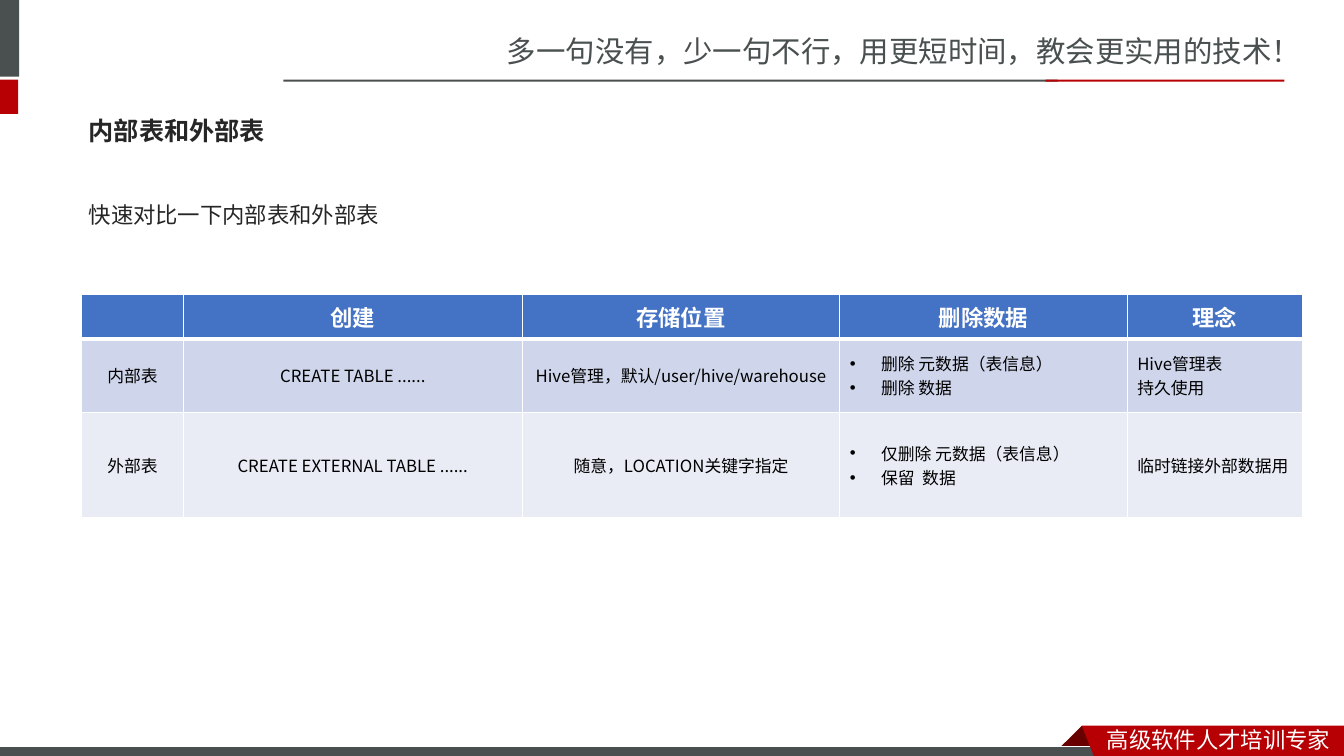
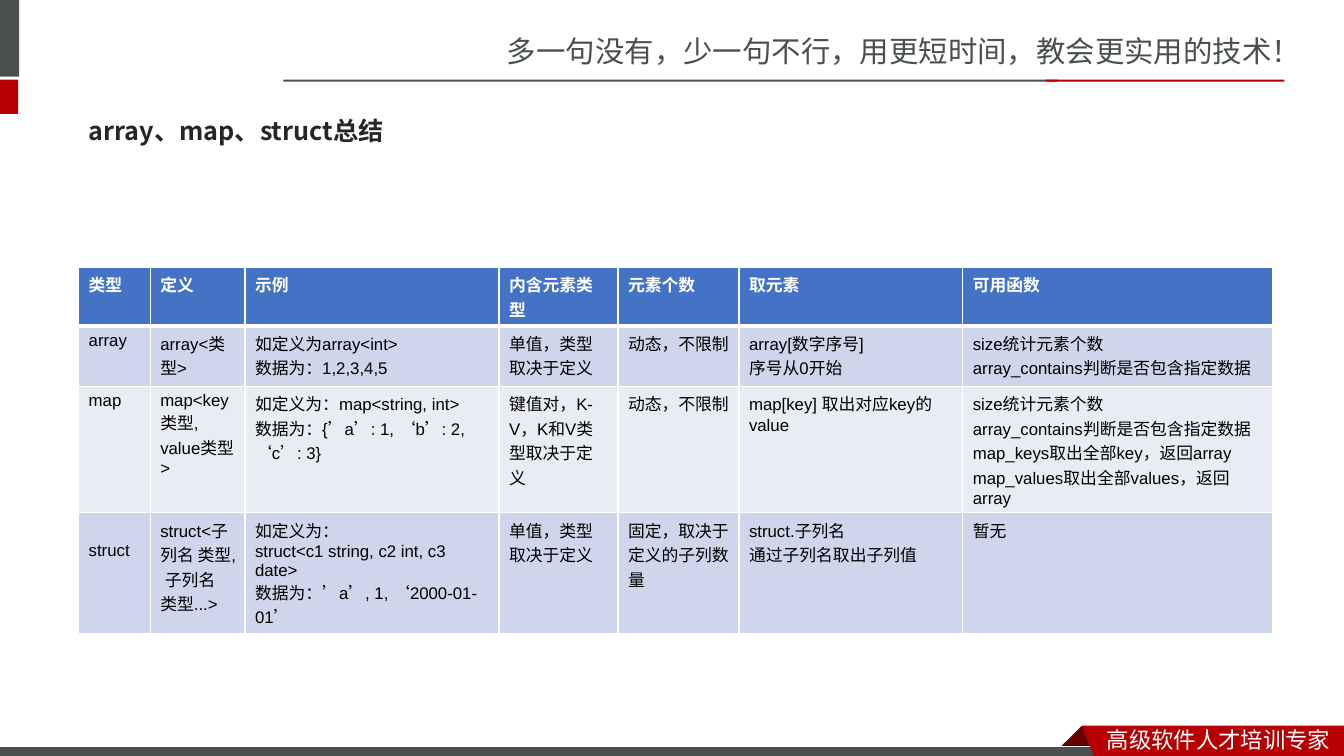
from dataclasses import dataclass, field

from lxml.etree import SubElement
from pptx import Presentation
from pptx.dml.color import RGBColor
from pptx.enum.shapes import MSO_SHAPE
from pptx.enum.text import MSO_ANCHOR, MSO_AUTO_SIZE, PP_ALIGN
from pptx.oxml import parse_xml
from pptx.oxml.ns import nsdecls, qn
from pptx.util import Inches, Pt

GREY = RGBColor(0x49, 0x50, 0x4F)
RED = RGBColor(0xB6, 0x00, 0x04)
DARK_RED = RGBColor(0x68, 0x00, 0x00)
INK = RGBColor(0x26, 0x26, 0x26)
BLACK = RGBColor(0, 0, 0)
WHITE = RGBColor(0xFF, 0xFF, 0xFF)
HEADER_BLUE = RGBColor(0x44, 0x72, 0xC4)
BAND_DARK = RGBColor(0xCF, 0xD5, 0xEA)
BAND_LIGHT = RGBColor(0xE9, 0xEB, 0xF5)

SANS_SC = "Noto Sans CJK SC"
SANS_JP = "Noto Sans CJK JP"
ARIAL = "Arial"


@dataclass(frozen=True)
class Box:
    left: float
    top: float
    width: float
    height: float

    def emu(self) -> tuple:
        return tuple(Inches(v) for v in (self.left, self.top, self.width, self.height))


@dataclass(frozen=True)
class Bar:
    box: Box
    color: RGBColor
    outlined: bool = False


@dataclass(frozen=True)
class Label:
    box: Box
    text: str
    size: int
    color: RGBColor


@dataclass(frozen=True)
class Ribbon:
    points: tuple
    color: RGBColor


@dataclass(frozen=True)
class Grid:
    left: float
    top: float
    widths: tuple
    heights: tuple
    rows: tuple
    face: str
    header_size: int
    anchor: MSO_ANCHOR
    header_align: PP_ALIGN = PP_ALIGN.LEFT
    centred: tuple = ()
    bulleted: tuple = ()
    top_margins: dict = field(default_factory=dict)


FRAME = (
    Label(Box(4.93, 0.28, 8.41, 0.45), "多一句没有，少一句不行，用更短时间，教会更实用的技术！", 21, GREY),
    Bar(Box(-0.06, 0, 0.25, 0.76), GREY),
    Bar(Box(-0.06, 0.79, 0.24, 0.34), RED),
    Bar(Box(2.81, 0.79, 7.68, 0.02), GREY),
    Bar(Box(10.37, 0.79, 2.37, 0.02), RED),
    Ribbon(((10.73, 7.2), (10.95, 7.42), (10.94, 7.43), (10.52, 7.43), (10.51, 7.42)), DARK_RED),
    Bar(Box(-0.01, 7.41, 11, 0.12), GREY, outlined=True),
    Ribbon(((10.73, 7.2), (13.33, 7.2), (13.33, 7.54), (10.86, 7.53)), RED),
    Label(Box(10.88, 7.15, 2.45, 0.37), "高级软件人才培训专家", 16, WHITE),
)

TITLE_BOX = Box(0.78, 1.03, 11.7, 0.57)
BODY_BOX = Box(0.78, 1.81, 11.7, 4.61)

TABLE_KINDS = Grid(
    0.81, 2.92, (1.01, 3.36, 3.15, 2.85, 1.74), (0.44, 0.73, 1.05),
    (
        ("", "创建", "存储位置", "删除数据", "理念"),
        ("内部表", "CREATE TABLE ......", "Hive管理，默认/user/hive/warehouse",
         "删除 元数据（表信息）\n删除 数据", "Hive管理表\n持久使用"),
        ("外部表", "CREATE EXTERNAL TABLE ......", "随意，LOCATION关键字指定",
         "仅删除 元数据（表信息）\n保留  数据", "临时链接外部数据用"),
    ),
    SANS_JP, 16, MSO_ANCHOR.MIDDLE, PP_ALIGN.CENTER, centred=(0, 1, 2), bulleted=(3,),
)

COLLECTION_TYPES = Grid(
    0.78, 2.65, (0.71, 0.94, 2.52, 1.18, 1.2, 2.22, 3.07), (0.5, 0.6, 0.56, 0.83),
    (
        ("类型", "定义", "示例", "内含元素类型", "元素个数", "取元素", "可用函数"),
        ("array", "array<类型>", "如定义为array<int>\n数据为：1,2,3,4,5", "单值，类型取决于定义",
         "动态，不限制", "array[数字序号]\n序号从0开始",
         "size统计元素个数\narray_contains判断是否包含指定数据"),
        ("map", "map<key类型, value类型>",
         "如定义为：map<string, int>\n数据为：{’a’: 1, ‘b’: 2, ‘c’: 3}",
         "键值对，K-V，K和V类型取决于定义", "动态，不限制", "map[key] 取出对应key的value",
         "size统计元素个数\narray_contains判断是否包含指定数据\n"
         "map_keys取出全部key，返回array\nmap_values取出全部values，返回array"),
        ("struct", "struct<子列名 类型, 子列名 类型...>",
         "如定义为：\nstruct<c1 string, c2 int, c3 date>\n数据为：’a’, 1, ‘2000-01-01’",
         "单值，类型取决于定义", "固定，取决于定义的子列数量",
         "struct.子列名\n通过子列名取出子列值", "暂无"),
    ),
    ARIAL, 12, MSO_ANCHOR.TOP, top_margins={(3, 0): 0.28},
)


def add_run(p, text: str, size: int, color: RGBColor, face: str, bold: bool = False) -> None:
    r = p.add_run()
    r.text = text
    r.font.size = Pt(size)
    r.font.bold = bold
    r.font.color.rgb = color
    r.font.name = face
    east_asian = SANS_SC if face == ARIAL else face
    SubElement(r.font._element, qn("a:ea")).set("typeface", east_asian)


def paint(s, color: RGBColor, outlined: bool = False) -> None:
    s.shadow.inherit = False
    s.fill.solid()
    s.fill.fore_color.rgb = color
    if outlined:
        s.line.color.rgb = WHITE
        s.line.width = Pt(0.75)
    else:
        s.line.fill.background()


def draw_bar(shapes, bar: Bar):
    s = shapes.add_shape(MSO_SHAPE.RECTANGLE, *bar.box.emu())
    paint(s, bar.color, bar.outlined)
    return s


def draw_ribbon(shapes, ribbon: Ribbon):
    start, *rest = [(Inches(x), Inches(y)) for x, y in ribbon.points]
    builder = shapes.build_freeform(*start)
    builder.add_line_segments(rest, close=True)
    s = builder.convert_to_shape()
    paint(s, ribbon.color)
    return s


def draw_label(shapes, label: Label):
    s = shapes.add_textbox(*label.box.emu())
    tf = s.text_frame
    tf.word_wrap = True
    tf.auto_size = MSO_AUTO_SIZE.SHAPE_TO_FIT_TEXT
    add_run(tf.paragraphs[0], label.text, label.size, label.color, SANS_SC)
    return s


def build_master(prs, slide) -> None:
    draw = {Bar: draw_bar, Ribbon: draw_ribbon, Label: draw_label}
    tree = prs.slide_master.shapes.element
    for number, item in enumerate(FRAME, start=100):
        s = draw[type(item)](slide.shapes, item)
        s.element.xpath(".//p:cNvPr")[0].set("id", str(number))
        tree.append(s.element)


def fill_placeholder(s, box: Box, text: str, size: int, spacing: float,
                     anchor: MSO_ANCHOR, bold: bool = False) -> None:
    s.left, s.top, s.width, s.height = box.emu()
    tf = s.text_frame
    tf.word_wrap = True
    tf.auto_size = MSO_AUTO_SIZE.NONE
    tf.vertical_anchor = anchor
    p = tf.paragraphs[0]
    set_bullet(p, 0)
    p.alignment = PP_ALIGN.LEFT
    p.line_spacing = spacing
    p.space_before = Pt(0)
    add_run(p, text, size, INK, SANS_JP, bold)


def set_bullet(p, indent: float, char: str = "") -> None:
    props = p._p.get_or_add_pPr()
    props.set("marL", str(Inches(indent)))
    props.set("indent", str(-Inches(indent)))
    if char:
        SubElement(props, qn("a:buFont")).set("typeface", ARIAL)
        SubElement(props, qn("a:buChar")).set("char", char)
    else:
        SubElement(props, qn("a:buNone"))


def set_borders(cell, row: int) -> None:
    widths = {"L": 1, "R": 1, "T": 3 if row == 1 else 1, "B": 3 if row == 0 else 1}
    props = cell._tc.get_or_add_tcPr()
    for position, (side, width) in enumerate(widths.items()):
        props.insert(position, parse_xml(
            f'<a:ln{side} {nsdecls("a")} w="{Pt(width)}"><a:solidFill>'
            f'<a:srgbClr val="{WHITE}"/></a:solidFill></a:ln{side}>'))


def fill_cell(cell, grid: Grid, row: int, col: int) -> None:
    header = row == 0
    cell.fill.solid()
    cell.fill.fore_color.rgb = HEADER_BLUE if header else (BAND_LIGHT, BAND_DARK)[row % 2]
    set_borders(cell, row)
    cell.vertical_anchor = grid.anchor
    cell.margin_top = Inches(grid.top_margins.get((row, col), 0.05))
    tf = cell.text_frame
    for i, line in enumerate(grid.rows[row][col].split("\n")):
        p = tf.add_paragraph() if i else tf.paragraphs[0]
        if not header and col in grid.bulleted:
            set_bullet(p, 0.31, "•")
        body_align = PP_ALIGN.CENTER if col in grid.centred else PP_ALIGN.LEFT
        p.alignment = grid.header_align if header else body_align
        add_run(p, line, grid.header_size if header else 12,
                WHITE if header else BLACK, grid.face, header)


def draw_table(shapes, grid: Grid) -> None:
    box = Box(grid.left, grid.top, sum(grid.widths), sum(grid.heights))
    table = shapes.add_table(len(grid.heights), len(grid.widths), *box.emu()).table
    for column, width in zip(table.columns, grid.widths):
        column.width = Inches(width)
    for row, height in enumerate(grid.heights):
        table.rows[row].height = Inches(height)
        for col in range(len(grid.widths)):
            fill_cell(table.cell(row, col), grid, row, col)


def add_slide(prs, layout: int, title: str, grid: Grid, body: str = ""):
    slide = prs.slides.add_slide(prs.slide_layouts[layout])
    fill_placeholder(slide.shapes.title, TITLE_BOX, title, 18, 0.9, MSO_ANCHOR.MIDDLE, True)
    if body:
        fill_placeholder(slide.placeholders[1], BODY_BOX, body, 16, 1.5, MSO_ANCHOR.TOP)
    draw_table(slide.shapes, grid)
    return slide


def main() -> None:
    prs = Presentation()
    prs.slide_width, prs.slide_height = Inches(13.33), Inches(7.5)
    first = add_slide(prs, 1, "内部表和外部表", TABLE_KINDS, "快速对比一下内部表和外部表")
    build_master(prs, first)
    add_slide(prs, 5, "array、map、struct总结", COLLECTION_TYPES)
    prs.save("out.pptx")


if __name__ == "__main__":
    main()
